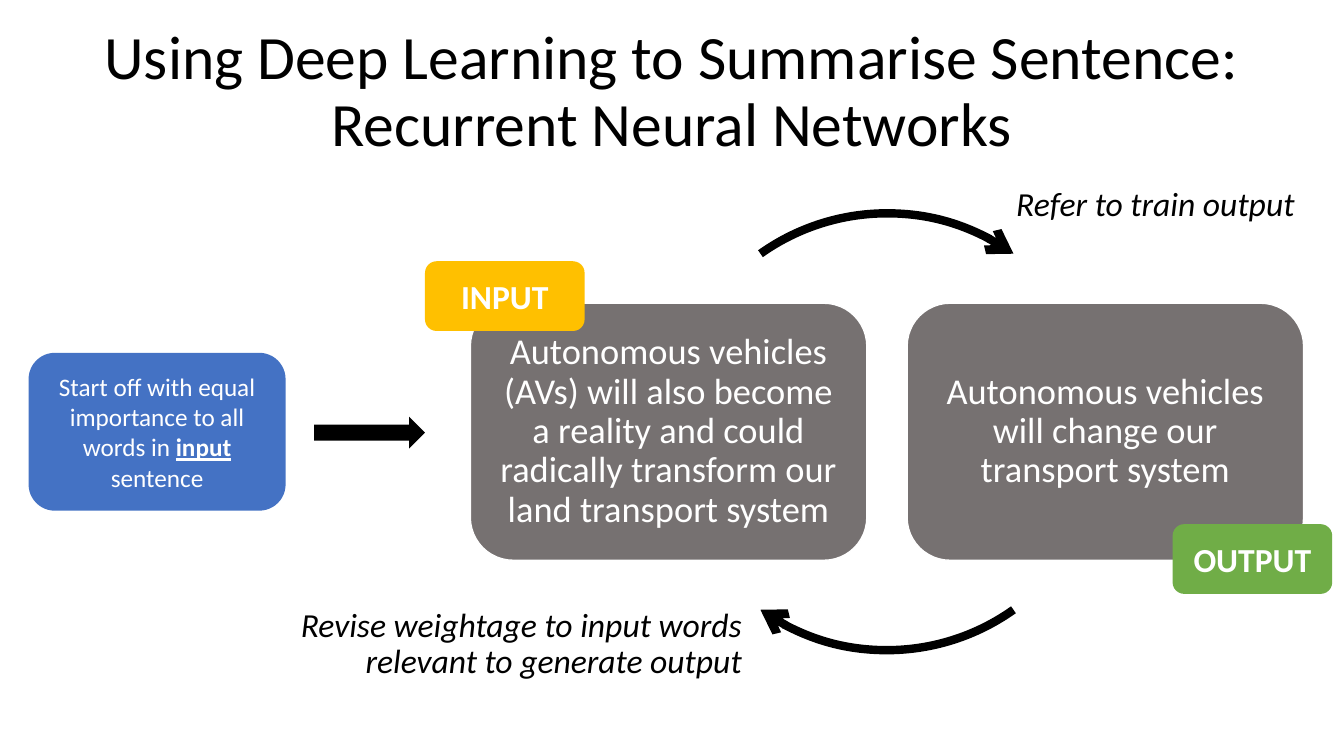
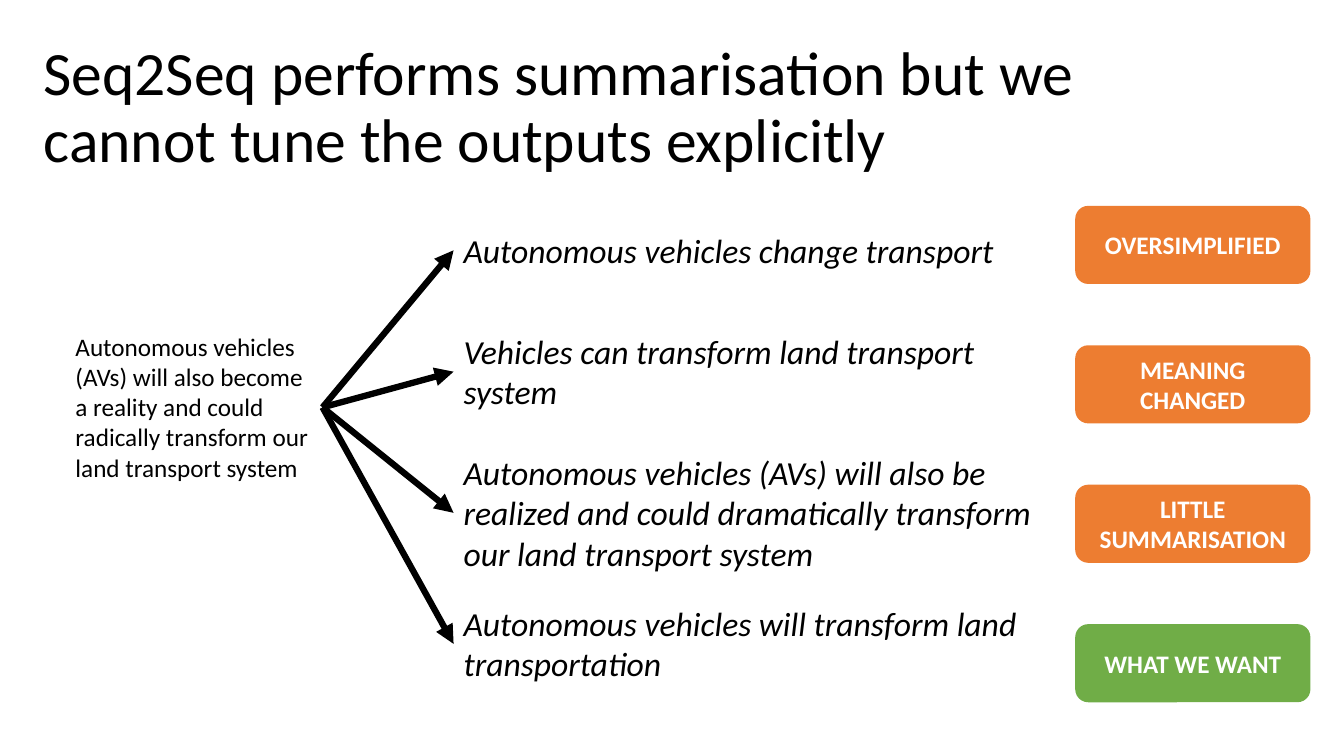
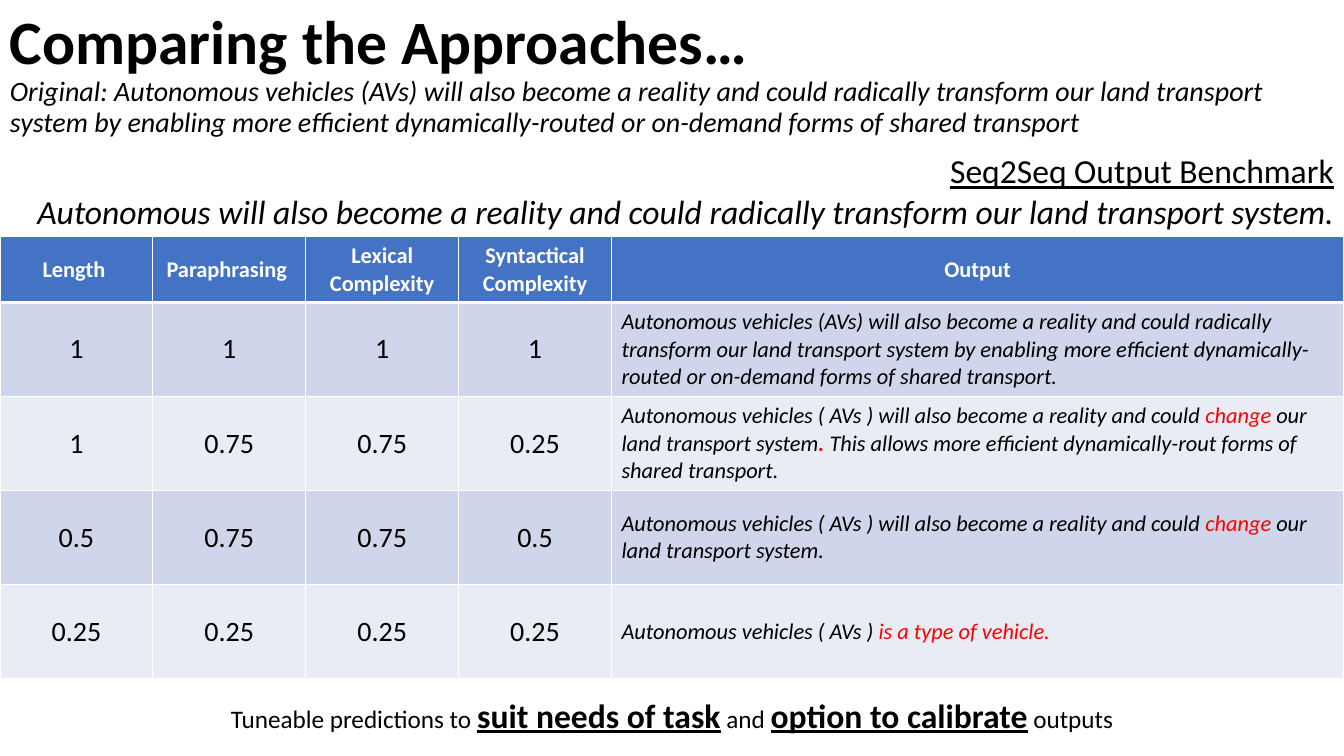
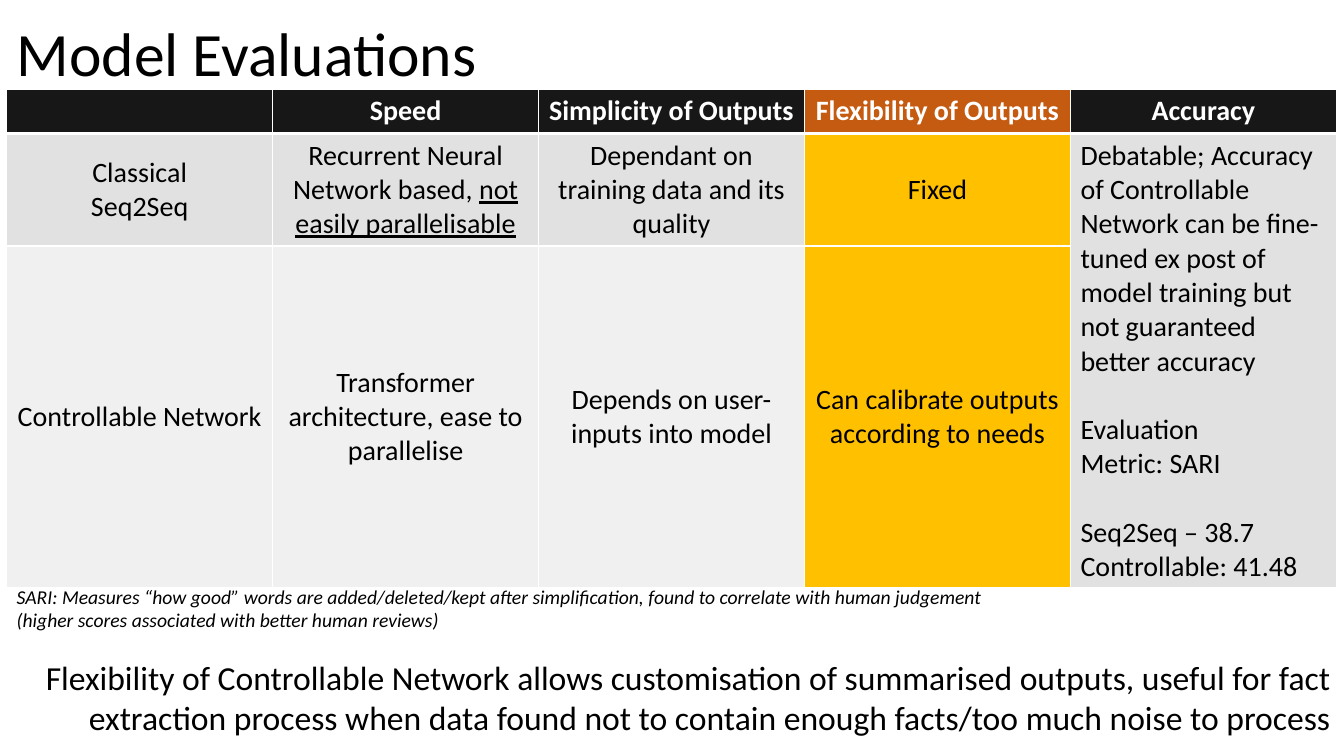
from dataclasses import dataclass, replace
from typing import Optional, Sequence, Union

from lxml import etree
from pptx import Presentation
from pptx import util as u
from pptx.dml.color import RGBColor
from pptx.enum import shapes, text
from pptx.oxml import ns

SLIDE_WIDTH, SLIDE_HEIGHT = u.Inches(13.333), u.Inches(7.5)
GRID_COLUMNS, GRID_ROWS = 80, 45
FONT = "Calibri"
COLORS = {
    "white": "FFFFFF", "black": "000000", "red": "FF0000",
    "blue": "4472C4", "green": "70AD47", "amber": "FFC000",
    "orange": "ED7D31", "rust": "C55A11", "card": "767171",
    "blue band": "CFD5EA", "blue pale": "E9EBF5",
    "ink": "181717", "grey band": "E1E1E1", "grey pale": "F0F0F0",
}
LEFT, CENTER, RIGHT = text.PP_ALIGN.LEFT, text.PP_ALIGN.CENTER, text.PP_ALIGN.RIGHT
TOP, MIDDLE = text.MSO_ANCHOR.TOP, text.MSO_ANCHOR.MIDDLE
ROUNDED = shapes.MSO_SHAPE.ROUNDED_RECTANGLE


@dataclass(frozen=True)
class Box:
    column: float
    row: float
    columns: float
    rows: float

    def place(self) -> tuple:
        return across(self.column), down(self.row), across(self.columns), down(self.rows)


@dataclass(frozen=True)
class Run:
    words: str
    size: float = 18
    color: str = "black"
    bold: bool = False
    italic: bool = False
    underline: bool = False


@dataclass(frozen=True)
class Line:
    runs: Sequence[Run]
    align: text.PP_ALIGN = LEFT
    before: float = 0
    spacing: Optional[float] = None


@dataclass(frozen=True)
class Cell:
    lines: Sequence[Line]
    fill: str


@dataclass(frozen=True)
class Candidate:
    words: str
    row: float
    rows: float
    verdict: str
    color: str


def across(columns: float) -> int:
    return round(SLIDE_WIDTH * columns / GRID_COLUMNS)


def down(rows: float) -> int:
    return round(SLIDE_HEIGHT * rows / GRID_ROWS)


def rgb(name: str) -> RGBColor:
    return RGBColor.from_string(COLORS[name])


def write(frame, lines: Sequence[Line]) -> None:
    for index, line in enumerate(lines):
        paragraph = frame.add_paragraph() if index else frame.paragraphs[0]
        paragraph.alignment = line.align
        if line.before:
            paragraph.space_before = u.Pt(line.before)
        if line.spacing:
            paragraph.line_spacing = line.spacing
        for item in line.runs:
            for part, words in enumerate(item.words.split("\n")):
                if part:
                    paragraph.add_line_break()
                if not words:
                    continue
                run = paragraph.add_run()
                run.text = words
                run.font.name = FONT
                run.font.size = u.Pt(item.size)
                run.font.color.rgb = rgb(item.color)
                run.font.bold = item.bold
                run.font.italic = item.italic
                run.font.underline = item.underline


def add_text(slide, box: Box, line: Line, anchor=TOP, wrap: bool = True):
    shape = slide.shapes.add_textbox(*box.place())
    shape.text_frame.word_wrap = wrap
    shape.text_frame.vertical_anchor = anchor
    write(shape.text_frame, [line])
    return shape


def add_title(slide, box: Box, runs: Sequence[Run], align=LEFT) -> None:
    add_text(slide, box, Line(runs, align, spacing=0.9), MIDDLE)


def add_block(slide, box: Box, fill: str, runs: Sequence[Run] = (),
              kind=ROUNDED, spacing: Optional[float] = None):
    shape = slide.shapes.add_shape(kind, *box.place())
    shape.shadow.inherit = False
    shape.fill.solid()
    shape.fill.fore_color.rgb = rgb(fill)
    shape.line.fill.background()
    shape.text_frame.word_wrap = True
    shape.text_frame.vertical_anchor = MIDDLE
    if runs:
        write(shape.text_frame, [Line(runs, CENTER, spacing=spacing)])
    return shape


def add_badge(slide, box: Box, fill: str, words: str, size: float) -> None:
    add_block(slide, box, fill, [Run(words, size, "white", bold=True)])


def add_arrowhead(shape, kind: str) -> None:
    outline = shape.line._get_or_add_ln()
    etree.SubElement(outline, ns.qn("a:tailEnd"), type=kind)


def style_line(shape, width: float) -> None:
    shape.line.color.rgb = rgb("black")
    shape.line.width = u.Pt(width)


def add_arc(slide, box: Box, start: float, end: float) -> None:
    arc = slide.shapes.add_shape(shapes.MSO_SHAPE.ARC, *box.place())
    arc.shadow.inherit = False
    arc.fill.background()
    for index, degrees in enumerate((start, end)):
        arc.adjustments[index] = degrees * 0.6
    style_line(arc, 6)
    add_arrowhead(arc, "arrow")


def add_arrow(slide, source, target) -> None:
    connector = slide.shapes.add_connector(shapes.MSO_CONNECTOR.STRAIGHT, 0, 0, 0, 0)
    connector.begin_connect(source, 3)
    connector.end_connect(target, 1)
    style_line(connector, 4.5)
    add_arrowhead(connector, "triangle")
    etree.SubElement(connector._element.spPr, ns.qn("a:effectLst"))


def add_borders(cell, row: int) -> None:
    widths = {"lnL": 1, "lnR": 1, "lnT": 3 if row == 1 else 1, "lnB": 1 if row else 3}
    properties = cell._tc.get_or_add_tcPr()
    for index, (side, width) in enumerate(widths.items()):
        border = etree.Element(ns.qn(f"a:{side}"), w=str(u.Pt(width)))
        fill = etree.SubElement(border, ns.qn("a:solidFill"))
        etree.SubElement(fill, ns.qn("a:srgbClr"), val=COLORS["white"])
        properties.insert(index, border)


def add_grid(slide, column: float, row: float, widths: Sequence[float],
             heights: Sequence[float], cells: Sequence[Sequence[Cell]]):
    box = Box(column, row, sum(widths), sum(heights))
    table = slide.shapes.add_table(len(heights), len(widths), *box.place()).table
    table.first_row = table.horz_banding = False
    for index, width in enumerate(widths):
        table.columns[index].width = across(width)
    for row_index, height in enumerate(heights):
        table.rows[row_index].height = down(height)
        for column_index, content in enumerate(cells[row_index]):
            cell = table.cell(row_index, column_index)
            cell.vertical_anchor = MIDDLE
            cell.fill.solid()
            cell.fill.fore_color.rgb = rgb(content.fill)
            add_borders(cell, row_index)
            write(cell.text_frame, content.lines)
    return table


def header_cell(words: str, size: float, fill: str) -> Cell:
    return Cell([Line([Run(words, size, "white", bold=True)], CENTER)], fill)


def body_cell(content: Union[str, Sequence[Run]], fill: str) -> Cell:
    runs = [Run(content, 20)] if isinstance(content, str) else content
    return Cell([Line(runs, CENTER)], fill)


def build_networks(slide) -> None:
    cards = (
        "Autonomous vehicles (AVs) will also become a reality and could "
        "radically transform our land transport system",
        "Autonomous vehicles will change our transport system",
    )
    for index, words in enumerate(cards):
        card = add_block(slide, Box(28 + 26 * index, 18.05, 23.6, 15.3), "card",
                         [Run(words, 26, "white")], spacing=0.9)
        card.line.color.rgb = rgb("white")
        card.line.width = u.Pt(1)
        frame = card.text_frame
        frame.margin_left = frame.margin_right = u.Inches(0.11)
        frame.margin_top = frame.margin_bottom = u.Inches(0.11)
    circle = Box(39.8, 12.7, 26, 26)
    for start in (234.6, 54.6):
        add_arc(slide, circle, start, start + 70.8)
    add_title(slide, Box(5.5, 1.2, 69, 8.7), [Run(
        "Using Deep Learning to Summarise Sentence: Recurrent Neural Networks", 44)], CENTER)
    add_badge(slide, Box(69.8, 31.2, 9.5, 4.15), "green", "OUTPUT", 24)
    add_badge(slide, Box(25.3, 15.55, 9.5, 4.15), "amber", "INPUT", 24)
    add_block(slide, Box(1.7, 21, 15.3, 9.4), "blue", [
        Run("Start off with equal importance to all words in ", color="white"),
        Run("input", color="white", bold=True, underline=True),
        Run(" sentence", color="white"),
    ])
    add_text(slide, Box(59.9, 10.6, 18.05, 3),
             Line([Run("Refer to train output", 24, italic=True)]), wrap=False)
    add_text(slide, Box(15.3, 35.9, 29.45, 5), Line([Run(
        "Revise weightage to input words relevant to generate output", 24, italic=True)],
        RIGHT, spacing=0.9))
    add_block(slide, Box(18.7, 24.8, 6.6, 1.9), "black", kind=shapes.MSO_SHAPE.RIGHT_ARROW)


def build_candidates(slide) -> None:
    candidates = (
        Candidate("Autonomous vehicles change transport", 13.4, 3, "OVERSIMPLIFIED", "orange"),
        Candidate("Vehicles can transform land transport system", 19.4, 5.45,
                  "MEANING CHANGED", "orange"),
        Candidate("Autonomous vehicles (AVs) will also be realized and could dramatically "
                  "transform our land transport system", 26.6, 7.85,
                  "LITTLE SUMMARISATION", "orange"),
        Candidate("Autonomous vehicles will transform land transportation", 35.6, 5.45,
                  "WHAT WE WANT", "green"),
    )
    add_title(slide, Box(2, 2.15, 69, 8.7), [Run(
        "Seq2Seq performs summarisation but we cannot tune the outputs explicitly", 44)])
    sentence = add_text(slide, Box(3.9, 19.4, 15.3, 9.7), Line([Run(
        "Autonomous vehicles (AVs) will also become a reality and could "
        "radically transform our land transport system")]))
    for index, candidate in enumerate(candidates):
        summary = add_text(slide, Box(27, candidate.row, 35.7, candidate.rows),
                           Line([Run(candidate.words, 24, italic=True)]))
        add_arrow(slide, sentence, summary)
        add_badge(slide, Box(64, 12.25 + 8.3 * index, 14, 4.65),
                  candidate.color, candidate.verdict, 18)


def build_comparison(slide) -> None:
    plain = Run("", 16, italic=True)
    red = replace(plain, color="red")
    opening = "Autonomous vehicles ( AVs ) "
    shared = opening + "will also become a reality and could "
    original = ("Autonomous vehicles (AVs) will also become a reality and could radically "
                "transform our land transport system by enabling more efficient "
                "dynamically-routed or on-demand forms of shared transport")
    results = (
        (("1", "1", "1", "1"), [replace(plain, words=original + ".")]),
        (("1", "0.75", "0.75", "0.25"), [
            replace(plain, words=shared),
            replace(red, words="change "),
            replace(plain, words="our land transport system"),
            replace(red, words=". ", bold=True),
            replace(plain, words="This allows more efficient dynamically-rout forms "
                                 "of shared transport."),
        ]),
        (("0.5", "0.75", "0.75", "0.5"), [
            replace(plain, words=shared),
            replace(red, words="change"),
            replace(plain, words=" our land transport system."),
        ]),
        (("0.25", "0.25", "0.25", "0.25"), [
            replace(plain, words=opening),
            replace(red, words="is a type of vehicle."),
        ]),
    )
    headings = ("Length ", "Paraphrasing ", "Lexical Complexity", "Syntactical Complexity", "Output")
    cells = [[header_cell(words, 16, "blue") for words in headings]]
    for index, (settings, output) in enumerate(results):
        fill = "blue pale" if index % 2 else "blue band"
        cells.append([body_cell(value, fill) for value in settings]
                     + [Cell([Line(output)], fill)])
    add_title(slide, Box(0, 0.1, 80, 8.7), [
        Run("Comparing the Approaches…\n", 44, bold=True),
        Run("Original: " + original, 20, italic=True),
    ])
    add_grid(slide, 0, 14.1, [9.1] * 4 + [43.6], [3.9] + [5.6] * 4, cells)
    add_text(slide, Box(0, 8.65, 80, 5.45), Line([
        Run("Seq2Seq Output Benchmark\n", 24, underline=True),
        Run("Autonomous will also become a reality and could radically transform "
            "our land transport system.", 24, italic=True),
    ], RIGHT))
    strong = Run("", 24, bold=True, underline=True)
    add_text(slide, Box(12.85, 41.05, 54.3, 3), Line([
        Run("Tuneable predictions to "),
        replace(strong, words="suit needs of task"),
        Run(" and "),
        replace(strong, words="option to calibrate"),
        Run(" outputs"),
    ], CENTER), wrap=False)


def build_evaluation(slide) -> None:
    headings = ("", "Speed", "Simplicity of Outputs", "Flexibility of Outputs", "Accuracy")
    header_fills = ("ink", "ink", "ink", "rust", "ink")
    gap = 24.4
    accuracy = [Line([Run(words, 20)], before=before) for words, before in (
        ("Debatable; Accuracy of Controllable Network can be fine-tuned ex post of "
         "model training but not guaranteed better accuracy", 0),
        ("Evaluation\nMetric: SARI", gap),
        ("Seq2Seq – 38.7", gap),
        ("Controllable: 41.48", 0),
    )]
    classical = [Line([Run(words, 20)], CENTER) for words in ("Classical", "Seq2Seq")]
    cells = [
        [header_cell(words, 20, fill) for words, fill in zip(headings, header_fills)],
        [
            Cell(classical, "grey band"),
            body_cell([Run("Recurrent Neural Network based, ", 20),
                       Run("not easily parallelisable", 20, underline=True)], "grey band"),
            body_cell("Dependant on training data and its quality", "grey band"),
            body_cell("Fixed", "amber"),
            Cell(accuracy, "grey band"),
        ],
        [
            body_cell("Controllable Network", "grey pale"),
            body_cell("Transformer architecture, ease to parallelise", "grey pale"),
            body_cell("Depends on user-inputs into model", "grey pale"),
            body_cell("Can calibrate outputs according to needs", "amber"),
            Cell([], "grey band"),
        ],
    ]
    add_title(slide, Box(0.4, 0.55, 69, 5.65), [Run("Model Evaluations", 44)])
    table = add_grid(slide, 0.4, 5.3, [15.83] * 5, [2.65, 6.7, 20.35], cells)
    table.cell(1, 4).merge(table.cell(2, 4))
    add_text(slide, Box(0.4, 34.5, 59.2, 3.4), Line([Run(
        "SARI: Measures “how good” words are added/deleted/kept after simplification, "
        "found to correlate with human judgement\n"
        "(higher scores associated with better human reviews)", 14, italic=True)]), wrap=False)
    add_text(slide, Box(0.25, 38.8, 79.55, 5.45), Line([Run(
        "Flexibility of Controllable Network allows customisation of summarised outputs, "
        "useful for fact extraction process when data found not to contain enough "
        "facts/too much noise to process", 24)], RIGHT))


def main() -> None:
    presentation = Presentation()
    presentation.slide_width, presentation.slide_height = SLIDE_WIDTH, SLIDE_HEIGHT
    blank = presentation.slide_layouts[6]
    for build in (build_networks, build_candidates, build_comparison, build_evaluation):
        build(presentation.slides.add_slide(blank))
    presentation.save("out.pptx")


if __name__ == "__main__":
    main()
